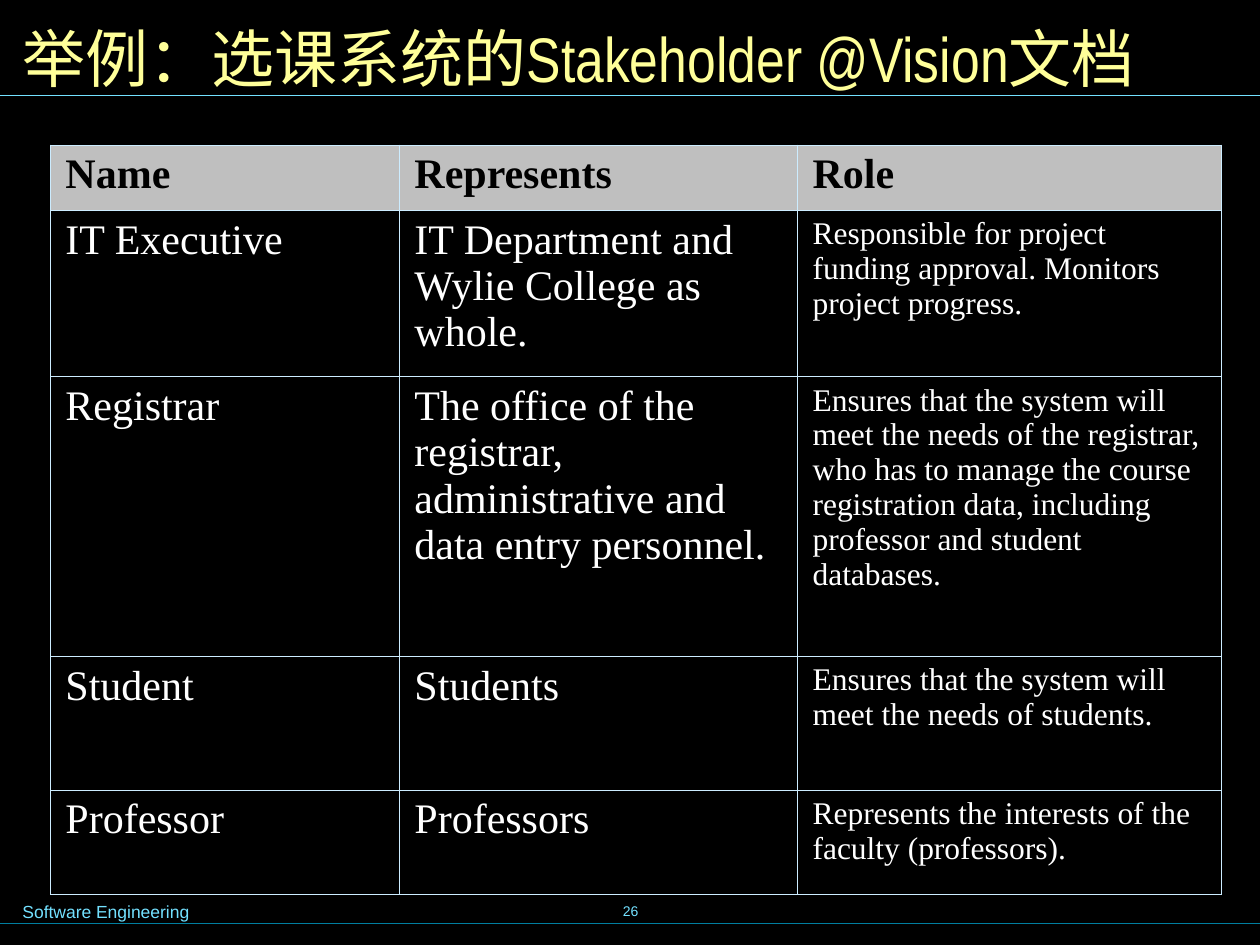
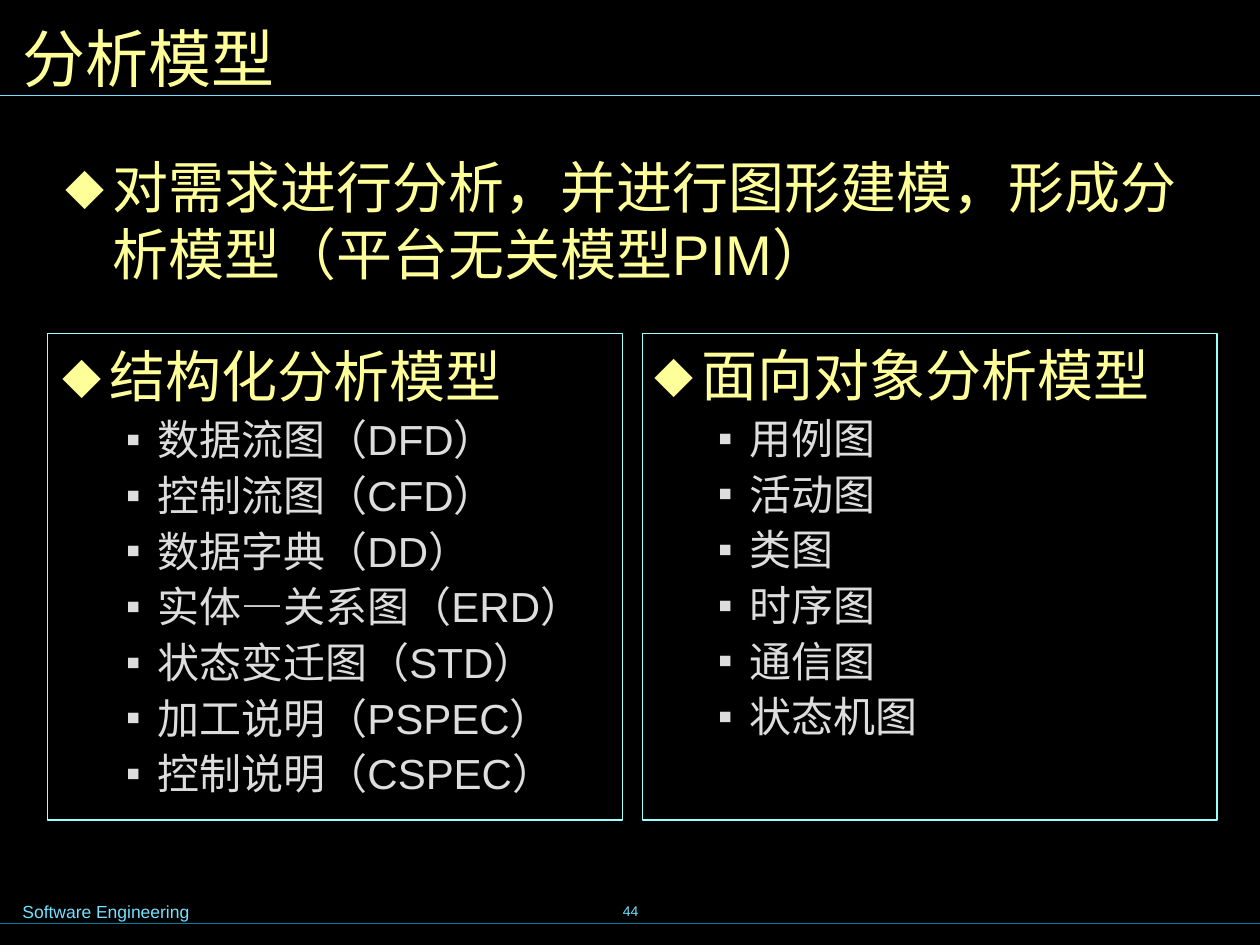
from dataclasses import dataclass

from lxml.etree import SubElement
from pptx import Presentation
from pptx.dml.color import RGBColor
from pptx.enum.lang import MSO_LANGUAGE_ID as Language
from pptx.enum.shapes import MSO_CONNECTOR as Connector, MSO_SHAPE as Preset
from pptx.enum.text import MSO_ANCHOR as Anchor, MSO_AUTO_SIZE as AutoSize, PP_ALIGN as Align
from pptx.oxml.ns import qn
from pptx.util import Inches, Pt

COLORS = {
    "background": "000000",
    "accent": "FFFF99",
    "item": "DDDDDD",
    "footer": "73E1FF",
    "footer_line": "007E9F",
    "box_line": "99FFFF",
    "table_line": "CCECFF",
    "header_fill": "BFBFBF",
    "header_text": "000000",
    "cell_text": "FFFFFF",
}
TITLE_FONT, BODY_FONT, TABLE_FONT = "Arial Narrow", "Arial", "Times New Roman"
TITLE_AND_BODY, TITLE_ONLY = 1, 5

CONTENT_LEFT, CONTENT_TOP, CONTENT_WIDTH = 0.4, 1.15, 9.29
BOX_LEFT, BOX_TOP, BOX_WIDTH, BOX_HEIGHT, BOX_GAP = 0.38, 2.65, 4.56, 3.86, 0.16


@dataclass(frozen=True)
class BulletStyle:
    symbol: str
    size: int
    color: str
    left: float
    hanging: float
    space_before: int


HEADING = BulletStyle("⬥", 32, "accent", 0.37, 0.37, 4)
ITEM = BulletStyle("▪", 24, "item", 0.75, 0.25, 3)


@dataclass(frozen=True)
class ModelBox:
    heading: str
    items: tuple[str, ...]
    margin_x: float
    margin_y: float


@dataclass(frozen=True)
class Stakeholder:
    name: str
    represents: str
    role: str
    height: float


MODEL_BOXES = (
    ModelBox("结构化分析模型",
             ("数据流图（DFD）", "控制流图（CFD）", "数据字典（DD）", "实体—关系图（ERD）",
              "状态变迁图（STD）", "加工说明（PSPEC）", "控制说明（CSPEC）"), 0.12, 0.06),
    ModelBox("面向对象分析模型",
             ("用例图", "活动图", "类图", "时序图", "通信图", "状态机图"), 0.1, 0.05),
)
COLUMN_WIDTHS = (2.77, 3.16, 3.36)
STAKEHOLDERS = (
    Stakeholder("Name", "Represents", "Role", 0.52),
    Stakeholder("IT Executive", "IT Department and Wylie College as whole.",
                "Responsible for project funding approval. Monitors project progress.", 1.32),
    Stakeholder("Registrar",
                "The office of the registrar, administrative and data entry personnel.",
                "Ensures that the system will meet the needs of the registrar, who has to manage "
                "the course registration data, including professor and student databases.", 2.22),
    Stakeholder("Student", "Students",
                "Ensures that the system will meet the needs of students.", 1.06),
    Stakeholder("Professor", "Professors",
                "Represents the interests of the faculty (professors).", 0.83),
)


def rgb(name: str) -> RGBColor:
    return RGBColor.from_string(COLORS[name])


def write(paragraph, text: str, *, size: int, color: str, font: str = BODY_FONT,
          bold: bool = False, align=Align.LEFT) -> None:
    paragraph.alignment = align
    run = paragraph.add_run()
    run.text = text
    run.font.size = Pt(size)
    run.font.name = font
    run.font.bold = bold
    run.font.color.rgb = rgb(color)
    run.font.language_id = Language.SIMPLIFIED_CHINESE


def write_bullet(paragraph, text: str, style: BulletStyle, first: bool = False) -> None:
    paragraph.space_before = Pt(0 if first else style.space_before)
    properties = paragraph._p.get_or_add_pPr()
    properties.set("marL", str(Inches(style.left)))
    properties.set("indent", str(-Inches(style.hanging)))
    bullet_color = SubElement(properties, qn("a:buClr"))
    SubElement(bullet_color, qn("a:srgbClr"), val=COLORS[style.color])
    SubElement(properties, qn("a:buFont"), typeface=BODY_FONT)
    SubElement(properties, qn("a:buChar"), char=style.symbol)
    write(paragraph, text, size=style.size, color=style.color)


def place(shape, left: float, top: float, width: float, height: float) -> None:
    shape.left, shape.top = Inches(left), Inches(top)
    shape.width, shape.height = Inches(width), Inches(height)


def set_frame(frame, margin_x: float = 0.1, margin_y: float = 0.05,
              anchor=Anchor.TOP, wrap: bool = True) -> None:
    frame.auto_size = AutoSize.NONE
    frame.word_wrap = wrap
    frame.vertical_anchor = anchor
    frame.margin_left = frame.margin_right = Inches(margin_x)
    frame.margin_top = frame.margin_bottom = Inches(margin_y)


def add_rule(slide, top: float, width: float, color: str) -> None:
    line = slide.shapes.add_connector(
        Connector.STRAIGHT, 0, Inches(top), Inches(width), Inches(top))
    line.line.color.rgb = rgb(color)
    line.line.width = Pt(0.75)
    SubElement(line._element.spPr, qn("a:effectLst"))


def add_footer_text(slide, text: str, left: float, top: float, width: float, height: float, *,
                    size: int, align=Align.LEFT, anchor=Anchor.TOP, wrap: bool = True) -> None:
    box = slide.shapes.add_textbox(Inches(left), Inches(top), Inches(width), Inches(height))
    set_frame(box.text_frame, anchor=anchor, wrap=wrap)
    write(box.text_frame.paragraphs[0], text, size=size, color="footer", align=align)


def add_slide(presentation, layout: int, title: str, number: int):
    """Add a slide with the shared title, rules and footer."""
    slide = presentation.slides.add_slide(presentation.slide_layouts[layout])
    add_footer_text(slide, str(number), 3.42, 6.98, 3.17, 0.5, size=8,
                    align=Align.CENTER, anchor=Anchor.MIDDLE, wrap=False)
    add_rule(slide, 7.33, 10, "footer_line")
    add_rule(slide, 0.76, 10, "footer")
    add_footer_text(slide, "Software Engineering", 0.08, 7.1, 2.95, 0.27, size=10)
    place(slide.shapes.title, 0.08, 0.08, 9.84, 0.75)
    frame = slide.shapes.title.text_frame
    set_frame(frame, anchor=Anchor.MIDDLE)
    write(frame.paragraphs[0], title, size=36, color="accent", font=TITLE_FONT)
    return slide


def set_borders(cell) -> None:
    properties = cell._tc.get_or_add_tcPr()
    for position, side in enumerate(("a:lnL", "a:lnR", "a:lnT", "a:lnB")):
        line = SubElement(properties, qn(side), w=str(Pt(0.45)))
        fill = SubElement(line, qn("a:solidFill"))
        SubElement(fill, qn("a:srgbClr"), val=COLORS["table_line"])
        properties.insert(position, line)


def fill_cell(cell, text: str, *, header: bool, size: int) -> None:
    cell.margin_left = cell.margin_right = Inches(0.12)
    cell.margin_top = cell.margin_bottom = Inches(0.05)
    if header:
        cell.fill.solid()
        cell.fill.fore_color.rgb = rgb("header_fill")
    else:
        cell.fill.background()
    set_borders(cell)
    write(cell.text_frame.paragraphs[0], text, size=size, font=TABLE_FONT, bold=header,
          color="header_text" if header else "cell_text")


def add_stakeholder_table(slide) -> None:
    height = sum(stakeholder.height for stakeholder in STAKEHOLDERS)
    table = slide.shapes.add_table(
        len(STAKEHOLDERS), len(COLUMN_WIDTHS), Inches(CONTENT_LEFT), Inches(CONTENT_TOP),
        Inches(CONTENT_WIDTH), Inches(height)).table
    table.horz_banding = False
    for column, width in zip(table.columns, COLUMN_WIDTHS):
        column.width = Inches(width)
    for index, (row, stakeholder) in enumerate(zip(table.rows, STAKEHOLDERS)):
        row.height = Inches(stakeholder.height)
        header = index == 0
        texts = (stakeholder.name, stakeholder.represents, stakeholder.role)
        sizes = (24, 24, 24 if header else 18)
        for cell, text, size in zip(row.cells, texts, sizes):
            fill_cell(cell, text, header=header, size=size)


def add_model_box(slide, box: ModelBox, left: float) -> None:
    shape = slide.shapes.add_shape(Preset.RECTANGLE, Inches(left), Inches(BOX_TOP),
                                   Inches(BOX_WIDTH), Inches(BOX_HEIGHT))
    shape.shadow.inherit = False
    shape.fill.background()
    shape.line.color.rgb = rgb("box_line")
    shape.line.width = Pt(0.75)
    frame = shape.text_frame
    set_frame(frame, box.margin_x, box.margin_y)
    write_bullet(frame.paragraphs[0], box.heading, HEADING, first=True)
    for item in box.items:
        paragraph = frame.add_paragraph()
        paragraph.level = 1
        write_bullet(paragraph, item, ITEM)


def build_stakeholder_slide(presentation) -> None:
    slide = add_slide(presentation, TITLE_ONLY, "举例：选课系统的Stakeholder @Vision文档", 26)
    add_stakeholder_table(slide)


def build_model_slide(presentation) -> None:
    slide = add_slide(presentation, TITLE_AND_BODY, "分析模型", 44)
    body = slide.placeholders[1]
    place(body, CONTENT_LEFT, CONTENT_TOP, CONTENT_WIDTH, 1.34)
    set_frame(body.text_frame, 0.12, 0.06)
    write_bullet(body.text_frame.paragraphs[0],
                 "对需求进行分析，并进行图形建模，形成分析模型（平台无关模型PIM）", HEADING, first=True)
    for index, box in enumerate(MODEL_BOXES):
        add_model_box(slide, box, BOX_LEFT + index * (BOX_WIDTH + BOX_GAP))


def main() -> None:
    presentation = Presentation()
    presentation.slide_width, presentation.slide_height = Inches(10), Inches(7.5)
    background = presentation.slide_master.background.fill
    background.solid()
    background.fore_color.rgb = rgb("background")
    build_stakeholder_slide(presentation)
    build_model_slide(presentation)
    presentation.save("out.pptx")


if __name__ == "__main__":
    main()
